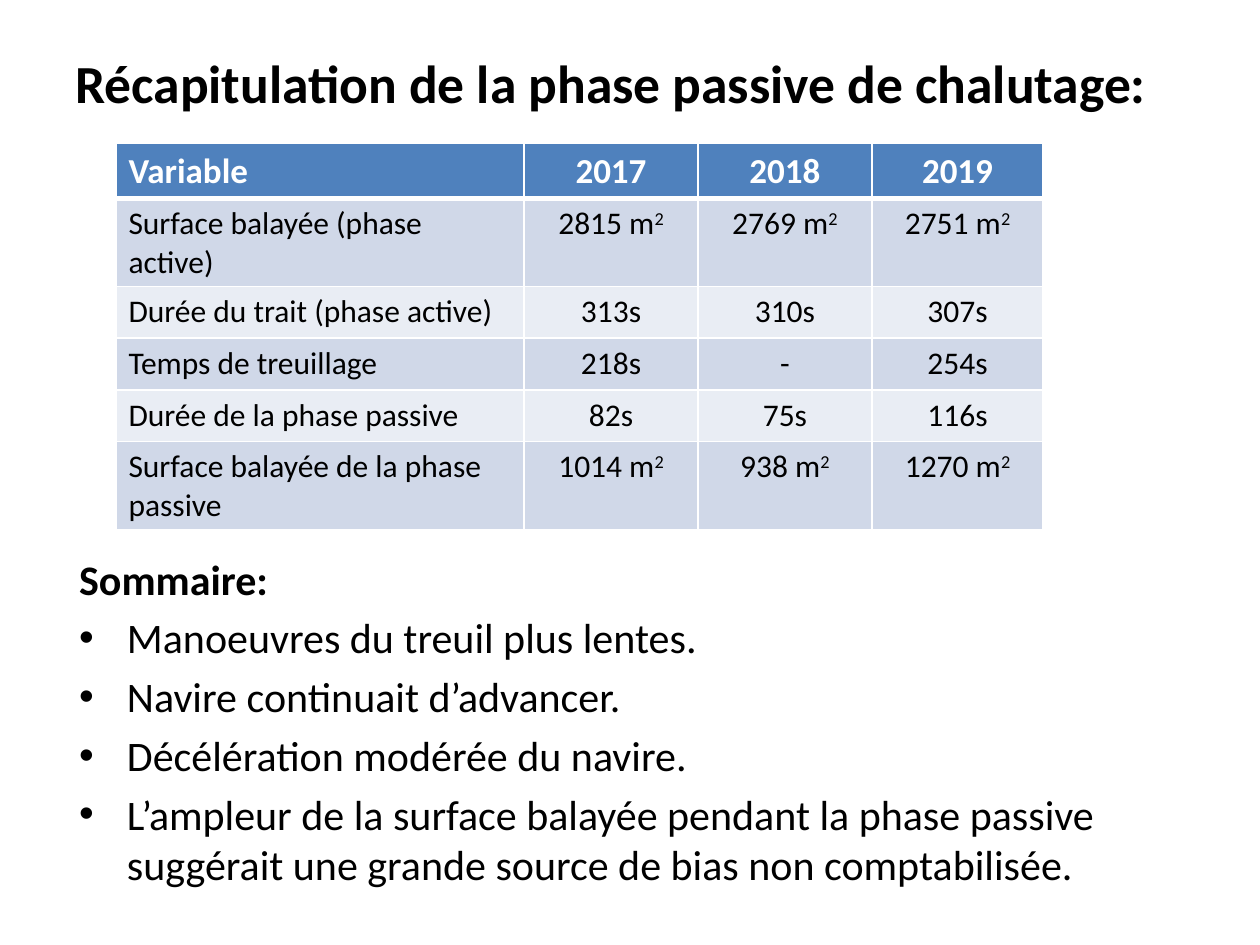
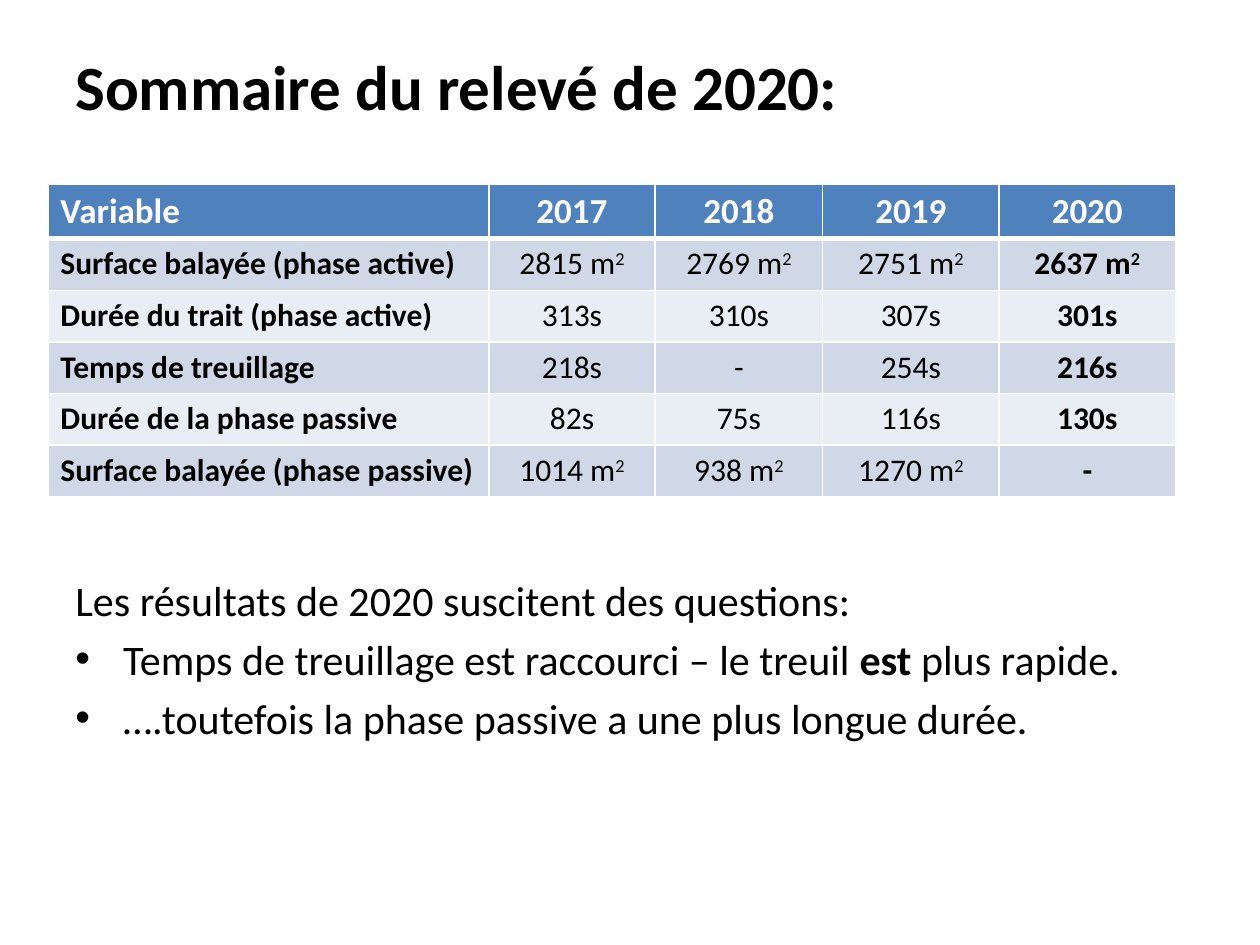
from pptx import Presentation
from pptx import util as u
from pptx.dml.color import RGBColor
from pptx.enum import text
from pptx.oxml import parse_xml
from pptx.oxml.ns import nsdecls


class Theme:
    font = "Calibri"
    ink = "000000"
    white = "FFFFFF"
    head = "4F81BD"
    bands = ["D0D8E8", "E9EDF4"]
    body, year, cell = 24, 20, 18
    gap = 4.8
    row, indent = 0.41, 0.38


def write(par, line, size, ink=Theme.ink, bold=False, raised=False):
    for n, part in enumerate(line.split("|")):
        run = par.add_run()
        run.text = part
        font = run.font
        font.name, font.size = Theme.font, u.Pt(size)
        font.color.rgb = RGBColor.from_string(ink)
        font.bold = bold or (n % 2 == 1 and not raised)
        if n % 2 and raised:
            run._r.get_or_add_rPr().set("baseline", "30000")


def add_box(slide, box, anchor):
    frame = slide.shapes.add_textbox(*map(u.Inches, box)).text_frame
    frame.word_wrap = True
    frame.vertical_anchor = anchor
    return frame


years = ["2017", "2018", "2019"]
swept = ["2815 m|2", "2769 m|2", "2751 m|2"]
haul = ["313s", "310s", "307s"]
winch = ["218s", "-", "254s"]
drift = ["82s", "75s", "116s"]
extra = ["1014 m|2", "938 m|2", "1270 m|2"]
names = ["Variable", "Surface balayée (phase active)", "Durée du trait\u00a0(phase active)",
         "Temps de treuillage", "Durée de la phase passive"]
past = [years, swept, haul, winch, drift, extra]
latest = ["2020", "2637 m|2", "301s", "216s", "130s", "-"]

pages = [
    dict(
        title="Récapitulation de la phase passive de chalutage:",
        size=30.6, top=(0.5, 0.3, 9, 0.7),
        spot=(0.92, 1.14), cols=[3.24, 1.38, 1.38, 1.36], strong=[],
        rows=[[name, *vals] for name, vals in
              zip(names + ["Surface balayée de la phase passive"], past)],
        area=(0.53, 4.34, 9, 2.84), lead="Sommaire:", loud=True,
        points=["Manoeuvres du treuil plus lentes.",
                "Navire continuait d’advancer.",
                "Décélération modérée du navire.",
                "L’ampleur de la surface balayée pendant la phase passive "
                "suggérait une grande source de bias non comptabilisée."]),
    dict(
        title="Sommaire du relevé de 2020:",
        size=36, top=(0.5, 0.3, 9, 0.76),
        spot=(0.38, 1.46), cols=[3.5, 1.32, 1.33, 1.4, 1.4], strong=[0, 4],
        rows=[[name, *vals, last] for name, vals, last in
              zip(names + ["Surface balayée (phase passive)"], past, latest)],
        area=(0.5, 4.51, 9.3, 2.02),
        lead="Les résultats de 2020 suscitent des questions:", loud=False,
        points=["Temps de treuillage est raccourci – le treuil |est| plus rapide.",
                "….toutefois la phase passive a une plus longue durée."]),
]

deck = Presentation()
deck.slide_width, deck.slide_height = u.Inches(10), u.Inches(7.5)

for page in pages:
    slide = deck.slides.add_slide(deck.slide_layouts[6])

    frame = add_box(slide, page["area"], text.MSO_ANCHOR.TOP)
    write(frame.paragraphs[0], page["lead"], Theme.body, bold=page["loud"])
    for point in page["points"]:
        par = frame.add_paragraph()
        props = par._p.get_or_add_pPr()
        props.set("marL", str(u.Inches(Theme.indent)))
        props.set("indent", str(-u.Inches(Theme.indent)))
        props.append(parse_xml(f'<a:buFont {nsdecls("a")} typeface="Arial"/>'))
        props.append(parse_xml(f'<a:buChar {nsdecls("a")} char="•"/>'))
        par.space_before = u.Pt(Theme.gap)
        write(par, point, Theme.body)

    frame = add_box(slide, page["top"], text.MSO_ANCHOR.MIDDLE)
    write(frame.paragraphs[0], page["title"], page["size"], bold=True)

    rows, cols = page["rows"], page["cols"]
    size = (sum(cols), Theme.row * len(rows))
    grid = slide.shapes.add_table(len(rows), len(cols),
                                  *map(u.Inches, page["spot"] + size)).table
    for col, width in zip(grid.columns, cols):
        col.width = u.Inches(width)
    for r, row in enumerate(rows):
        grid.rows[r].height = u.Inches(Theme.row)
        for c, value in enumerate(row):
            cell = grid.cell(r, c)
            props = cell._tc.get_or_add_tcPr()
            for side in "LRTB":
                thick = (r, side) in [(0, "B"), (1, "T")]
                props.append(parse_xml(
                    f'<a:ln{side} {nsdecls("a")} w="{u.Pt(3 if thick else 1)}"><a:solidFill>'
                    f'<a:srgbClr val="{Theme.white}"/></a:solidFill></a:ln{side}>'))
            cell.fill.solid()
            fill = Theme.bands[(r - 1) % 2] if r else Theme.head
            cell.fill.fore_color.rgb = RGBColor.from_string(fill)
            par = cell.text_frame.paragraphs[0]
            par.alignment = text.PP_ALIGN.CENTER if c else text.PP_ALIGN.LEFT
            if r:
                write(par, value, Theme.cell, bold=c in page["strong"], raised=True)
            else:
                write(par, value, Theme.year, Theme.white, bold=True)

deck.save("out.pptx")
